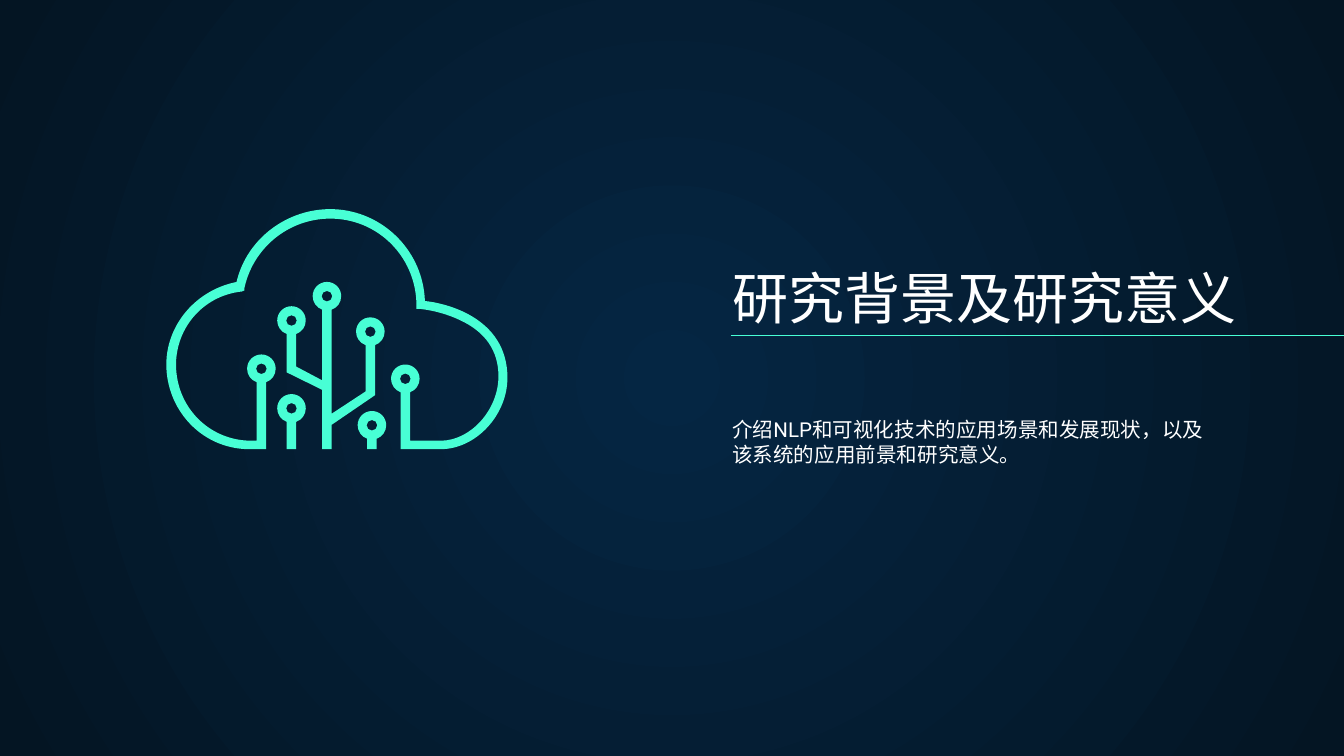
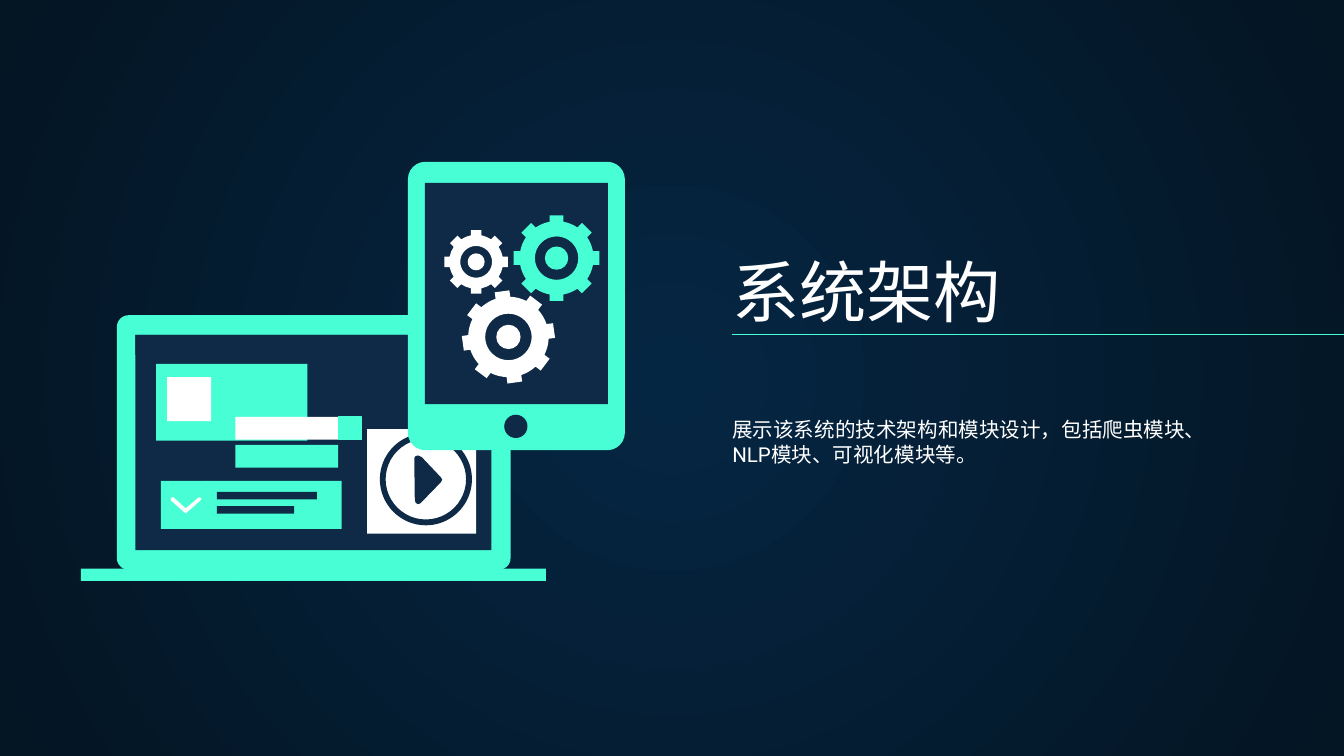
"""Build two dark section slides with a title, a rule, a summary and a drawn emblem."""
import math

import pptx
import pptx.dml.color
import pptx.enum.shapes
import pptx.enum.text
import pptx.oxml
import pptx.oxml.ns
import pptx.util

Cm = pptx.util.Cm
RGBColor = pptx.dml.color.RGBColor
Kind = pptx.enum.shapes.MSO_SHAPE
qn = pptx.oxml.ns.qn

MINT = RGBColor(0x48, 0xFF, 0xD5)
NAVY = RGBColor(0x0E, 0x2A, 0x47)
WHITE = RGBColor(0xFF, 0xFF, 0xFF)
GLOW = RGBColor(0x05, 0x26, 0x43)
NIGHT = RGBColor(0x04, 0x15, 0x23)
FONT = "Roboto"
THIN = pptx.util.Pt(0.75)
SUMMARY_BOX = (13.59, 7.64, 9.5, 3.94)

BACKGROUND_SECTION = {
    "title": "研究背景及研究意义",
    "title_size": 30,
    "title_box": (13.59, 4.39, 10.74, 2.11),
    "rule": (13.81, 6.34, 26.16),
    "summary": "介绍NLP和可视化技术的应用场景和发展现状，以及该系统的应用前景和研究意义。",
}
ARCHITECTURE_SECTION = {
    "title": "系统架构",
    "title_size": 36,
    "title_box": (13.59, 4.83, 9.8, 1.68),
    "rule": (13.84, 6.32, 26.19),
    "summary": "展示该系统的技术架构和模块设计，包括爬虫模块、NLP模块、可视化模块等。",
}

NODE_RADIUS, NODE_HOLE, STEM_HALF, BASELINE = 0.27, 0.1, 0.09, 8.49
TREE_NODES = [(7.0, 6.27), (6.18, 5.6), (5.51, 6.06)]
TREE_BRANCHES = [
    [(6.91, 7.4), (6.27, 7.82)],
    [(6.09, 7.19), (5.6, 6.93)],
    [(5.42, 7.04), (6.09, 7.37), (6.09, BASELINE), (6.27, BASELINE), (6.27, 8.03), (7.09, 7.47)],
]
CLOUD_NODES = [(4.94, 6.97), (7.66, 7.16)]
CLOUD_PARTS = [
    [(8.03, 5.69), (8.0, 4.78, 7.29, 4.04, 6.4, 3.96), (5.51, 3.88, 4.67, 4.47, 4.47, 5.33),
     (3.66, 5.49, 3.07, 6.22, 3.15, 7.04), (3.23, 7.87, 3.91, 8.51, 4.75, BASELINE),
     (5.03, BASELINE)],
    [(4.85, 8.33), (4.75, 8.33), (3.99, 8.33, 3.38, 7.75, 3.33, 6.99),
     (3.28, 6.25, 3.81, 5.59, 4.57, 5.51), (4.62, 5.49), (4.62, 5.44),
     (4.8, 4.62, 5.56, 4.06, 6.4, 4.14), (7.24, 4.22, 7.87, 4.93, 7.87, 5.77),
     (7.87, 5.84), (7.95, 5.84), (8.2, 5.87, 8.46, 5.94, 8.69, 6.05),
     (9.17, 6.27, 9.42, 6.63, 9.42, 7.11), (9.42, 7.75, 8.89, 8.33, 8.33, 8.33), (7.75, 8.33)],
    [(7.57, BASELINE), (8.33, BASELINE), (8.99, BASELINE, 9.59, 7.85, 9.59, 7.14),
     (9.59, 5.97, 8.36, 5.72, 8.03, 5.69)],
]
SMALL_NODES = [(5.51, 7.72), (7.03, 8.04)]

LAPTOP = [
    (Kind.ROUNDED_RECTANGLE, (2.21, 5.96, 7.44, 4.81), MINT, 0.22),
    (Kind.RECTANGLE, (2.56, 6.33, 6.73, 4.07), NAVY, 0),
    (Kind.RECTANGLE, (1.53, 10.75, 8.79, 0.23), MINT, 0),
    (Kind.RECTANGLE, (2.56, 6.33, 6.73, 0.38), NAVY, 0),
    (Kind.RECTANGLE, (2.95, 6.88, 2.86, 1.45), MINT, 0),
    (Kind.RECTANGLE, (3.16, 7.13, 0.83, 0.83), WHITE, 0),
    (Kind.RECTANGLE, (3.92, 9.09, 2.54, 0.91), MINT, 0),
    (Kind.RECTANGLE, (4.1, 9.3, 1.89, 0.14), NAVY, 0),
    (Kind.RECTANGLE, (4.1, 9.57, 1.46, 0.14), NAVY, 0),
    (Kind.RECTANGLE, (3.04, 9.09, 0.9, 0.91), MINT, 0),
    (Kind.RECTANGLE, (4.45, 8.41, 1.94, 0.43), MINT, 0),
    (Kind.RECTANGLE, (4.45, 7.88, 1.94, 0.43), WHITE, 0),
    (Kind.RECTANGLE, (6.94, 8.11, 2.06, 1.98), WHITE, 0),
    (Kind.DONUT, (7.18, 8.19, 1.74, 1.74), NAVY, 0.11),
    (Kind.RECTANGLE, (6.4, 7.88, 0.43, 0.43), MINT, 0),
]
CHEVRON = [(3.76, 9.4), (3.51, 9.61), (3.28, 9.4), (3.23, 9.41), (3.23, 9.46),
           (3.48, 9.68), (3.51, 9.7), (3.54, 9.68), (3.79, 9.46), (3.81, 9.42)]
PLAY = [(7.9, 8.61), (7.87, 8.61, 7.83, 8.63, 7.83, 8.66), (7.84, 9.45),
        (7.84, 9.5, 7.87, 9.53, 7.9, 9.53), (7.93, 9.53, 7.95, 9.51, 7.97, 9.49), (8.33, 9.12),
        (8.37, 9.09, 8.37, 9.05, 8.33, 9.02), (7.97, 8.64), (7.95, 8.62, 7.93, 8.61, 7.9, 8.61)]
TABLET = [
    (Kind.ROUNDED_RECTANGLE, (7.71, 3.06, 4.1, 5.45), MINT, 0.33),
    (Kind.RECTANGLE, (8.03, 3.46, 3.46, 4.18), NAVY, 0),
    (Kind.OVAL, (9.53, 7.84, 0.44, 0.44), NAVY, 0),
]
GEARS = [
    {"centre": (10.52, 4.88), "tip": 0.81, "body": 0.7, "tooth": 0.13, "ring": 0.41,
     "hub": 0.22, "turn": 0, "color": MINT},
    {"centre": (9.0, 4.95), "tip": 0.6, "body": 0.51, "tooth": 0.1, "ring": 0.3,
     "hub": 0.16, "turn": 0, "color": WHITE},
    {"centre": (9.61, 6.37), "tip": 0.87, "body": 0.76, "tooth": 0.14, "ring": 0.44,
     "hub": 0.23, "turn": -8, "color": WHITE},
]
TEETH = 8


def paint(shape, color):
    shape.shadow.inherit = False
    shape.fill.solid()
    shape.fill.fore_color.rgb = color
    shape.line.fill.background()


def polar(centre, radius, angle):
    return centre[0] + radius * math.sin(angle), centre[1] + radius * math.cos(angle)


def curve(centre, radius, start, end):
    """Give the Bezier entry that follows a circle between two angles."""
    reach = 4 / 3 * math.tan((end - start) / 4)
    length, swing = radius * math.hypot(1, reach), math.atan(reach)
    return (*polar(centre, length, start + swing), *polar(centre, length, end - swing),
            *polar(centre, radius, end))


def arc(centre, radius, start=0.0, end=2 * math.pi):
    angles = [start, math.pi / 2, math.pi, 3 * math.pi / 2, end]
    return [polar(centre, radius, start)] + [
        curve(centre, radius, first, last) for first, last in zip(angles, angles[1:])]


def reached_points(contour, steps=16):
    """List points on a contour, sampling its Bezier entries, to find its bounds."""
    reached = []
    for entry in contour:
        if len(entry) == 2:
            reached.append(entry)
            continue
        nodes = [reached[-1], entry[:2], entry[2:4], entry[4:]]
        for step in range(1, steps + 1):
            t = step / steps
            weights = ((1 - t) ** 3, 3 * t * (1 - t) ** 2, 3 * t * t * (1 - t), t ** 3)
            reached.append(tuple(sum(w * node[axis] for w, node in zip(weights, nodes))
                                 for axis in (0, 1)))
    return reached


def add_outline(slide, contours, color):
    """Add one freeform whose entries are points or six-number Bezier curves."""
    xs, ys = zip(*(point for contour in contours for point in reached_points(contour)))
    left, top, right, bottom = Cm(min(xs)), Cm(min(ys)), Cm(max(xs)), Cm(max(ys))
    builder = slide.shapes.build_freeform(left, top, scale=1.0)
    builder.add_line_segments([(right, top), (right, bottom)])
    shape = builder.convert_to_shape()
    outline = next(shape._element.iter(qn("a:path")))
    for child in list(outline):
        outline.remove(child)

    def add_step(parent, tag):
        step = parent.makeelement(qn(tag), {})
        parent.append(step)
        return step

    for contour in contours:
        for index, entry in enumerate(contour):
            tag = "a:cubicBezTo" if len(entry) == 6 else "a:lnTo" if index else "a:moveTo"
            step = add_step(outline, tag)
            for x, y in zip(entry[::2], entry[1::2]):
                point = add_step(step, "a:pt")
                point.set("x", str(Cm(x) - left))
                point.set("y", str(Cm(y) - top))
        add_step(outline, "a:close")
    paint(shape, color)


def add_parts(slide, parts):
    for kind, box, color, detail in parts:
        shape = slide.shapes.add_shape(kind, *map(Cm, box))
        paint(shape, color)
        if detail:
            shape.adjustments[0] = detail / min(box[2:])
    return shape


def add_text(slide, text, box, size, anchor):
    frame = slide.shapes.add_textbox(*map(Cm, box)).text_frame
    frame.word_wrap = True
    frame.vertical_anchor = anchor
    frame.margin_left = frame.margin_right = frame.margin_top = frame.margin_bottom = Cm(0.25)
    frame.text = text
    font = frame.paragraphs[0].runs[0].font
    font.name, font.size, font.color.rgb = FONT, pptx.util.Pt(size), WHITE
    for tag in ("a:ea", "a:cs"):
        font._element.append(font._element.makeelement(qn(tag), {"typeface": FONT}))


def add_section(presentation, section):
    slide = presentation.slides.add_slide(presentation.slide_layouts[6])
    fill = slide.background.fill
    fill.gradient()
    for stop, color, position in zip(fill.gradient_stops, (GLOW, NIGHT), (0, 1)):
        stop.color.rgb, stop.position = color, position
    linear = next(slide._element.iter(qn("a:lin")))
    linear.getparent().replace(linear, pptx.oxml.parse_xml(
        f'<a:path {pptx.oxml.ns.nsdecls("a")} path="circle">'
        '<a:fillToRect l="50000" t="50000" r="50000" b="50000"/></a:path>'))

    anchors = pptx.enum.text.MSO_ANCHOR
    add_text(slide, section["title"], section["title_box"], section["title_size"], anchors.BOTTOM)
    add_text(slide, section["summary"], SUMMARY_BOX, 11, anchors.TOP)
    left, top, right = map(Cm, section["rule"])
    rule = slide.shapes.add_connector(pptx.enum.shapes.MSO_CONNECTOR.STRAIGHT,
                                      left, top, right, top)
    rule.line.color.rgb, rule.line.width = MINT, THIN
    properties = rule._element.spPr
    properties.append(properties.makeelement(qn("a:effectLst"), {}))
    return slide


def add_circuit(slide, nodes, parts_after, parts_before=()):
    """Draw node heads joined by the given runs, with a hole in each head."""
    opening = math.asin(STEM_HALF / NODE_RADIUS)
    outline = list(parts_before)
    for node, part in zip(nodes, parts_after):
        outline += arc(node, NODE_RADIUS, opening, 2 * math.pi - opening) + part
    add_outline(slide, [outline] + [arc(node, NODE_HOLE) for node in nodes], MINT)


def add_gear(slide, gear):
    centre, body, half = gear["centre"], gear["body"], gear["tooth"]
    pitch, lean = 2 * math.pi / TEETH, math.asin(half / body)
    corner, corner_lean = math.hypot(gear["tip"], half), math.atan(half / gear["tip"])
    first = math.pi - math.radians(gear["turn"])
    rim = [polar(centre, body, first + lean)]
    for index in range(TEETH):
        angle = first - index * pitch
        rim += [polar(centre, corner, angle + corner_lean),
                polar(centre, corner, angle - corner_lean),
                polar(centre, body, angle - lean),
                curve(centre, body, angle - lean, angle - pitch + lean)]
    add_outline(slide, [rim, arc(centre, gear["ring"]), arc(centre, gear["hub"])], gear["color"])


def main():
    presentation = pptx.Presentation()
    presentation.slide_width, presentation.slide_height = Cm(25.4), Cm(14.29)

    slide = add_section(presentation, BACKGROUND_SECTION)
    add_circuit(slide, TREE_NODES, TREE_BRANCHES)
    add_circuit(slide, CLOUD_NODES, CLOUD_PARTS[1:], CLOUD_PARTS[0])
    for x, y in SMALL_NODES:
        stem = [(x - STEM_HALF, BASELINE), (x + STEM_HALF, BASELINE)]
        add_circuit(slide, [(x, y)], [stem])

    slide = add_section(presentation, ARCHITECTURE_SECTION)
    button = add_parts(slide, LAPTOP)
    button.line.color.rgb, button.line.width = MINT, THIN
    add_outline(slide, [CHEVRON], WHITE)
    add_outline(slide, [PLAY], NAVY)
    add_parts(slide, TABLET)
    for gear in GEARS:
        add_gear(slide, gear)

    presentation.save("out.pptx")


if __name__ == "__main__":
    main()
